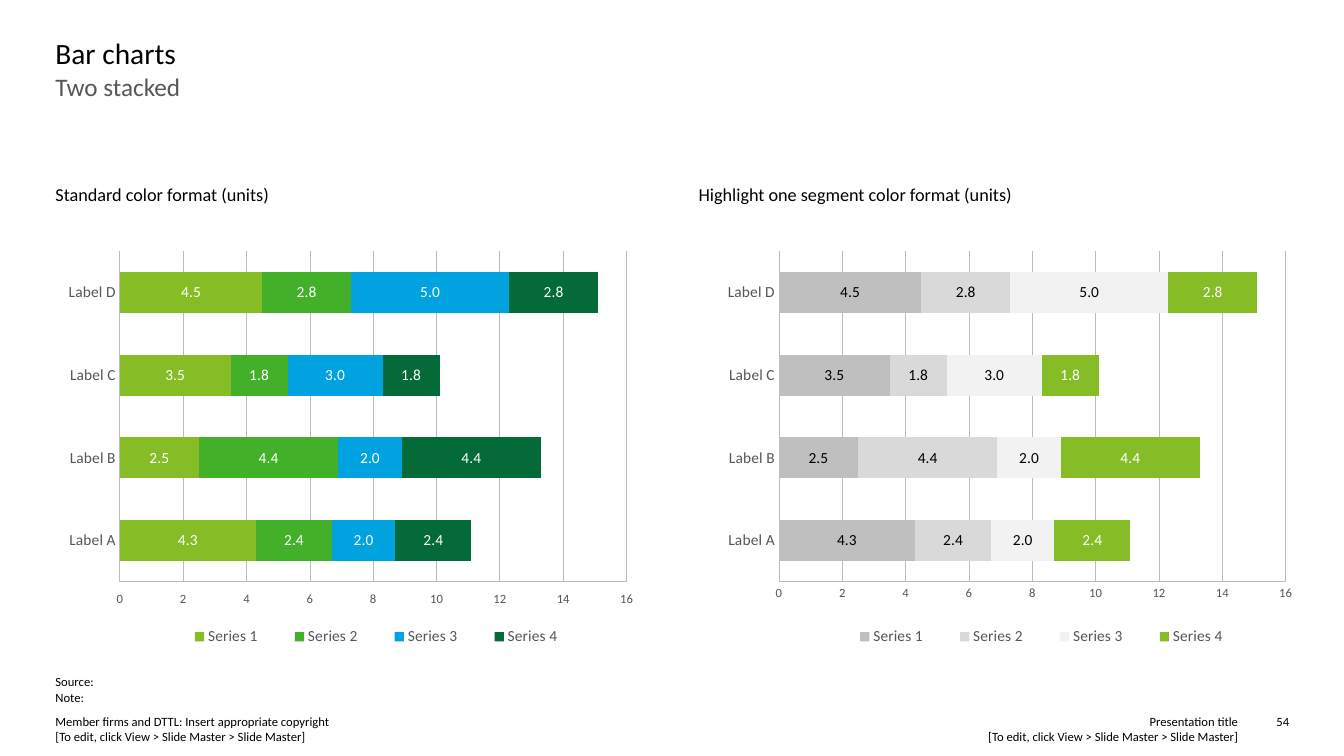
from lxml.etree import SubElement
from pptx import Presentation
from pptx.chart.data import CategoryChartData
from pptx.dml.color import RGBColor
from pptx.enum.chart import (XL_CHART_TYPE, XL_LABEL_POSITION, XL_LEGEND_POSITION,
                             XL_TICK_LABEL_POSITION, XL_TICK_MARK)
from pptx.enum.text import MSO_ANCHOR, MSO_AUTO_SIZE, PP_ALIGN
from pptx.oxml import parse_xml
from pptx.oxml.ns import nsdecls, qn
from pptx.util import Pt

FONT = "Calibri"
BLACK = RGBColor(0x00, 0x00, 0x00)
WHITE = RGBColor(0xFF, 0xFF, 0xFF)
SUBTITLE_GRAY = RGBColor(0x57, 0x57, 0x57)
AXIS_TEXT = RGBColor(0x53, 0x56, 0x5A)
GRID_GRAY = RGBColor(0xBB, 0xBC, 0xBC)
LIGHT_GREEN = RGBColor(0x86, 0xBC, 0x25)
MID_GREEN = RGBColor(0x43, 0xB0, 0x2A)
BLUE = RGBColor(0x00, 0xA3, 0xE0)
DARK_GREEN = RGBColor(0x04, 0x6A, 0x38)
GRAY_1 = RGBColor(0xBF, 0xBF, 0xBF)
GRAY_2 = RGBColor(0xD9, 0xD9, 0xD9)
GRAY_3 = RGBColor(0xF2, 0xF2, 0xF2)

LEFT_MARGIN, RIGHT_COLUMN = 39.6, 499
FULL_WIDTH, COLUMN_WIDTH = 881.3, 421.2
CATEGORIES = ["Label A", "Label B", "Label C", "Label D"]
SERIES = {
    "Series 1": (4.3, 2.5, 3.5, 4.5),
    "Series 2": (2.4, 4.4, 1.8, 2.8),
    "Series 3": (2, 2, 3, 5),
    "Series 4": (2.4, 4.4, 1.8, 2.8),
}
EDIT_HINT = "[To edit, click View > Slide Master > Slide Master]"


def set_font(font, size, color):
    font.name = FONT
    font.size = Pt(size)
    font.bold = False
    font.color.rgb = color


def prepare_frame(frame):
    frame.margin_left = frame.margin_top = frame.margin_right = frame.margin_bottom = 0
    frame.word_wrap = True
    frame.auto_size = MSO_AUTO_SIZE.NONE
    frame.vertical_anchor = MSO_ANCHOR.TOP


def fill_placeholder(holder, box, lines, size, color=BLACK, space_after=0):
    holder.left, holder.top, holder.width, holder.height = map(Pt, box)
    frame = holder.text_frame
    frame.text = "\n".join(lines)
    prepare_frame(frame)
    for paragraph in frame.paragraphs:
        properties = paragraph._p.get_or_add_pPr()
        properties.set("marL", "0")
        properties.set("indent", "0")
        SubElement(properties, qn("a:buNone"))
        paragraph.alignment = PP_ALIGN.LEFT
        paragraph.space_before = Pt(0)
        paragraph.space_after = Pt(space_after)
        set_font(paragraph.font, size, color)


def add_footer(slide, box, lines, alignment=PP_ALIGN.LEFT):
    frame = slide.shapes.add_textbox(*map(Pt, box)).text_frame
    prepare_frame(frame)
    paragraph = frame.paragraphs[0]
    paragraph.text = "\v".join(lines)
    paragraph.alignment = alignment
    set_font(paragraph.font, 9, BLACK)


def place_chart_part(part, index, x, y, width, height, inner=False):
    """Give a plot area or legend a fixed place, in fractions of the chart."""
    for old_layout in part.findall(qn("c:layout")):
        part.remove(old_layout)
    target = '<c:layoutTarget val="inner"/>' if inner else ""
    part.insert(index, parse_xml(
        f'<c:layout {nsdecls("c")}><c:manualLayout>{target}'
        '<c:xMode val="edge"/><c:yMode val="edge"/>'
        f'<c:x val="{x}"/><c:y val="{y}"/><c:w val="{width}"/><c:h val="{height}"/>'
        '</c:manualLayout></c:layout>'))


def format_axis(axis, size):
    axis.major_tick_mark = axis.minor_tick_mark = XL_TICK_MARK.NONE
    axis.format.line.color.rgb = GRID_GRAY
    axis.format.line.width = Pt(0.5)
    set_font(axis.tick_labels.font, size, AXIS_TEXT)


def add_stacked_bars(slide, left, colors, label_colors, value_labels, legend_left):
    chart_data = CategoryChartData(number_format="General")
    chart_data.categories = CATEGORIES
    for name, values in SERIES.items():
        chart_data.add_series(name, values)
    chart = slide.shapes.add_chart(XL_CHART_TYPE.BAR_STACKED, Pt(left), Pt(167),
                                   Pt(441.4), Pt(314.6), chart_data).chart
    set_font(chart.font, 18, BLACK)
    chart.has_title = False

    plot = chart.plots[0]
    plot.gap_width = 100
    plot.overlap = 100
    plot.vary_by_categories = False
    for series, color, label_color in zip(plot.series, colors, label_colors):
        series.invert_if_negative = False
        series.format.fill.solid()
        series.format.fill.fore_color.rgb = color
        labels = series.data_labels
        labels.show_value = True
        labels.number_format = "#,##0.0"
        labels.number_format_is_linked = False
        labels.position = XL_LABEL_POSITION.CENTER
        set_font(labels.font, 11, label_color)

    format_axis(chart.category_axis, 11)
    values_axis = chart.value_axis
    format_axis(values_axis, 9)
    values_axis.minimum_scale = 0
    values_axis.maximum_scale = 16
    values_axis.major_unit = 2
    values_axis.tick_label_position = value_labels
    values_axis.has_major_gridlines = True
    grid_line = values_axis.major_gridlines.format.line
    grid_line.color.rgb = GRID_GRAY
    grid_line.width = Pt(0.5)

    chart.has_legend = True
    legend = chart.legend
    legend.position = XL_LEGEND_POSITION.RIGHT
    legend.include_in_layout = False
    set_font(legend.font, 11, AXIS_TEXT)
    place_chart_part(legend._element, 1, legend_left, 0.88, 0.69, 0.07)
    plot_area = chart._chartSpace.chart.plotArea
    place_chart_part(plot_area, 0, 0.14, 0.04, 0.82, 0.75, inner=True)


def main():
    presentation = Presentation()
    presentation.slide_width, presentation.slide_height = Pt(960), Pt(540)
    slide = presentation.slides.add_slide(presentation.slide_layouts.get_by_name("Comparison"))
    title, left_heading, subtitle, right_heading, source_note = slide.placeholders

    fill_placeholder(title, (LEFT_MARGIN, 25.2, FULL_WIDTH, 26.6), ["Bar charts"], 21)
    fill_placeholder(subtitle, (LEFT_MARGIN, 51.1, FULL_WIDTH, 59.8), ["Two stacked"], 18,
                     SUBTITLE_GRAY, 10)
    fill_placeholder(left_heading, (LEFT_MARGIN, 131, COLUMN_WIDTH, 33),
                     ["Standard color format (units)"], 13, space_after=10)
    fill_placeholder(right_heading, (RIGHT_COLUMN, 131, COLUMN_WIDTH, 33),
                     ["Highlight one segment color format (units)"], 13, space_after=10)
    fill_placeholder(source_note, (LEFT_MARGIN, 481.7, 879.1, 21), ["Source:", "Note:"], 9)

    add_stacked_bars(slide, 23.8, (LIGHT_GREEN, MID_GREEN, BLUE, DARK_GREEN), (WHITE,) * 4,
                     XL_TICK_LABEL_POSITION.LOW, 0.21)
    add_stacked_bars(slide, 494.6, (GRAY_1, GRAY_2, GRAY_3, LIGHT_GREEN),
                     (BLACK, BLACK, BLACK, WHITE), XL_TICK_LABEL_POSITION.NEXT_TO_AXIS, 0.22)

    add_footer(slide, (LEFT_MARGIN, 509.8, 422, 21.6),
               ["Member firms and DTTL: Insert appropriate copyright", EDIT_HINT])
    add_footer(slide, (RIGHT_COLUMN, 509.8, 385.2, 21.6), ["Presentation title", EDIT_HINT],
               PP_ALIGN.RIGHT)
    add_footer(slide, (896.4, 509.8, 24.5, 10.8), ["54"], PP_ALIGN.RIGHT)
    presentation.save("out.pptx")


if __name__ == "__main__":
    main()
